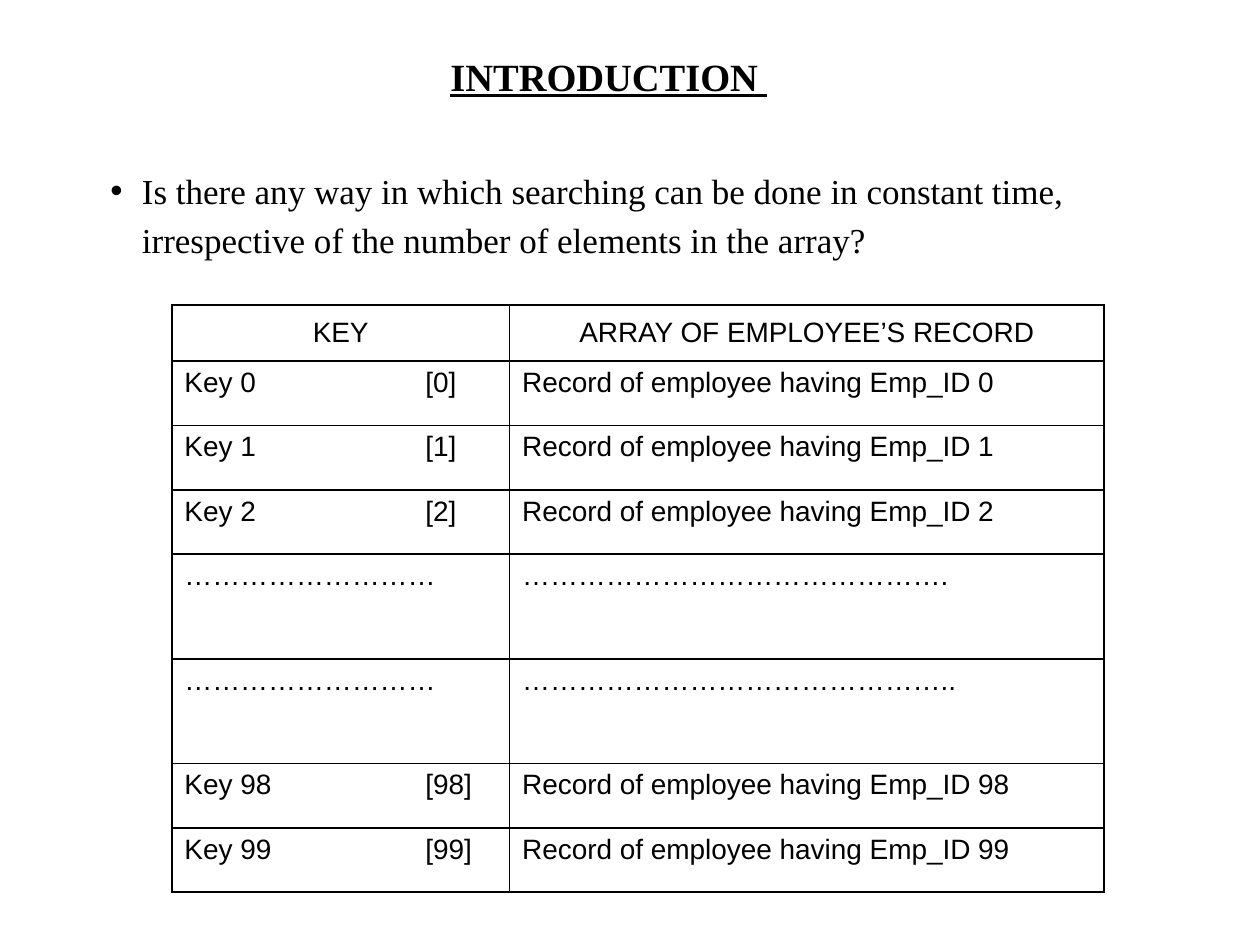
from pptx import Presentation
from pptx.dml.color import RGBColor
from pptx.enum.text import MSO_ANCHOR, PP_ALIGN
from pptx.oxml.ns import qn
from pptx.util import Pt
from lxml import etree

CENTER, JUSTIFY = PP_ALIGN.CENTER, PP_ALIGN.JUSTIFY
TOP, MIDDLE = MSO_ANCHOR.TOP, MSO_ANCHOR.MIDDLE
SERIF, SANS = "Times New Roman", "Arial"
BLACK = "000000"

COL_WIDTHS = [193, 339.8]
HEADER_H, KEY_H, GAP_H = 32, 36.8, 59.8
INDEX_TAB = 137.7


def color(hex_string):
    return RGBColor.from_string(hex_string)


def write(tf, text, size=16, font=SANS, bold=None, underline=None,
          align=None, line_spacing=None, space_before=None):
    """Fill the first paragraph of a text frame and return it."""
    p = tf.paragraphs[0]
    if align is not None:
        p.alignment = align
    if line_spacing is not None:
        p.line_spacing = line_spacing
    if space_before is not None:
        p.space_before = Pt(space_before)
    r = p.add_run()
    r.text = text
    r.font.size = Pt(size)
    r.font.name = font
    r.font.bold = bold
    r.font.underline = underline
    r.font.color.rgb = color(BLACK)
    return p


def add_bullet(p, indent):
    pPr = p._p.get_or_add_pPr()
    pPr.set("marL", str(Pt(indent)))
    pPr.set("indent", str(-Pt(indent)))
    etree.SubElement(pPr, qn("a:buFont")).set("typeface", SANS)
    etree.SubElement(pPr, qn("a:buChar")).set("char", "•")


def add_tab_stop(p, pos):
    tabs = etree.SubElement(p._p.get_or_add_pPr(), qn("a:tabLst"))
    tab = etree.SubElement(tabs, qn("a:tab"))
    tab.set("pos", str(Pt(pos)))
    tab.set("algn", "l")


def add_borders(cell, width=1):
    tcPr = cell._tc.get_or_add_tcPr()
    for side in ("lnL", "lnR", "lnT", "lnB"):
        ln = etree.SubElement(tcPr, qn("a:" + side))
        ln.set("w", str(Pt(width)))
        fill = etree.SubElement(ln, qn("a:solidFill"))
        etree.SubElement(fill, qn("a:srgbClr")).set("val", BLACK)


def add_title(s, text):
    sp = s.shapes.title
    sp.left, sp.top, sp.width, sp.height = Pt(24), Pt(0), Pt(648), Pt(90)
    sp.text_frame.vertical_anchor = MIDDLE
    write(sp.text_frame, text, size=22, font=SERIF, bold=True,
          underline=True, align=CENTER, line_spacing=0.9)


def add_question(s, text):
    sp = s.shapes.add_textbox(Pt(56), Pt(90), Pt(616), Pt(86))
    sp.text_frame.word_wrap = True
    p = write(sp.text_frame, text, size=20, font=SERIF,
              line_spacing=1.15, space_before=10)
    add_bullet(p, 18)


def add_record_table(s, rows, heights):
    table = s.shapes.add_table(len(rows), len(COL_WIDTHS), Pt(98.2), Pt(174.3),
                               Pt(sum(COL_WIDTHS)), Pt(sum(heights))).table
    table.first_row = table.horz_banding = False
    for col, width in zip(table.columns, COL_WIDTHS):
        col.width = Pt(width)
    for i, (row, height) in enumerate(zip(rows, heights)):
        table.rows[i].height = Pt(height)
        for j, text in enumerate(row):
            cell = table.cell(i, j)
            add_borders(cell)
            cell.fill.background()
            cell.vertical_anchor = TOP if i else MIDDLE
            p = write(cell.text_frame, text, align=JUSTIFY if i else CENTER)
            if "\t" in text:
                add_tab_stop(p, INDEX_TAB)


def key_row(n):
    return f"Key {n}\t[{n}]", f"Record of employee having Emp_ID {n}"


def main():
    prs = Presentation()
    prs.slide_width, prs.slide_height = Pt(720), Pt(540)
    s = prs.slides.add_slide(prs.slide_layouts[5])

    # Heading and question
    add_title(s, "INTRODUCTION ")
    add_question(s, "Is there any way in which searching can be done in constant "
                    "time, irrespective of the number of elements in the array?")

    # Keys and records, with two rows of dots for those left out
    dots = "…" * 9
    rows = [("KEY", "ARRAY OF EMPLOYEE’S RECORD"),
            *map(key_row, range(3)),
            (dots, "…" * 14 + "…."),
            (dots, "…" * 14 + "….."),
            *map(key_row, (98, 99))]
    heights = [HEADER_H] + [KEY_H] * 3 + [GAP_H] * 2 + [KEY_H] * 2
    add_record_table(s, rows, heights)

    prs.save("out.pptx")


if __name__ == "__main__":
    main()
